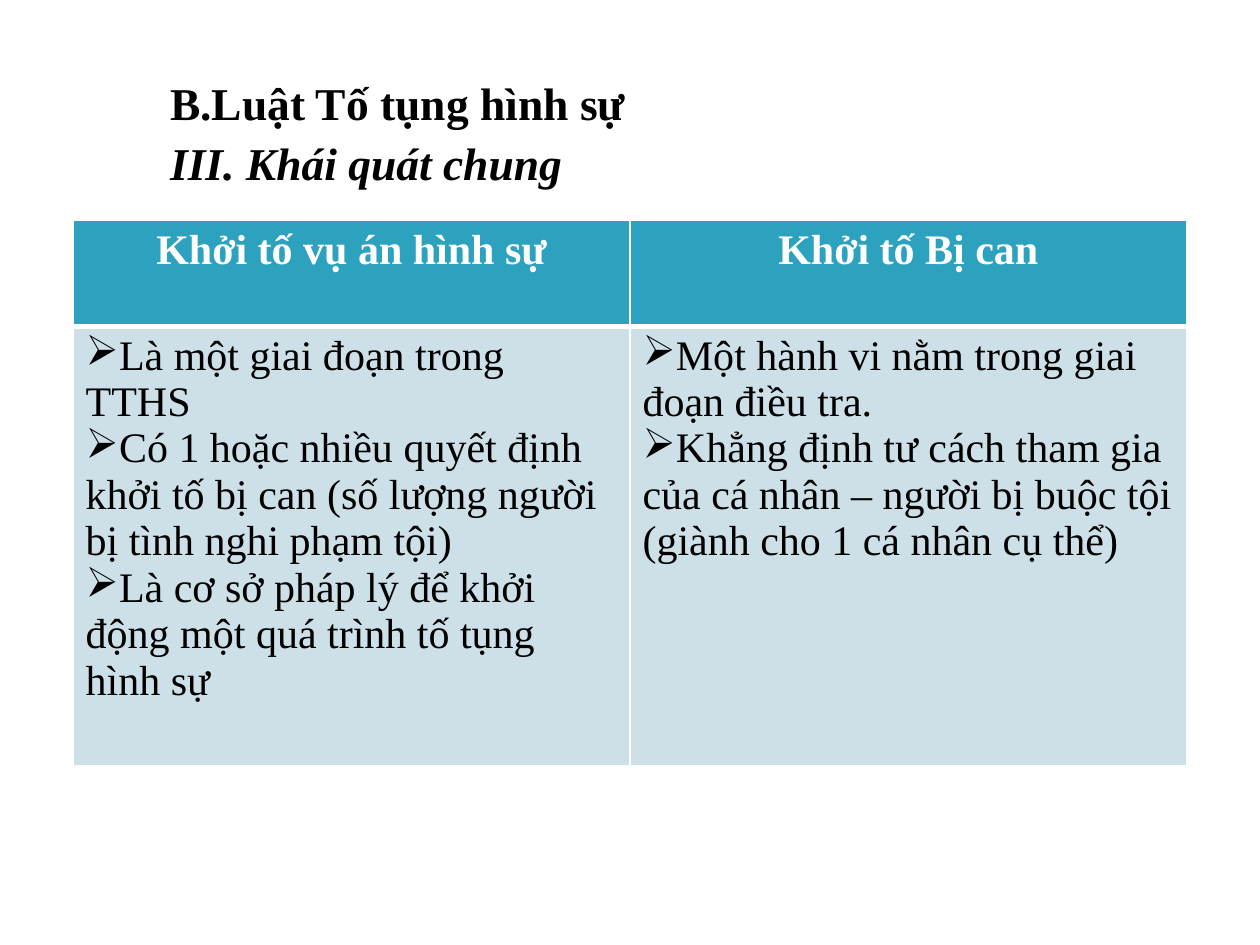
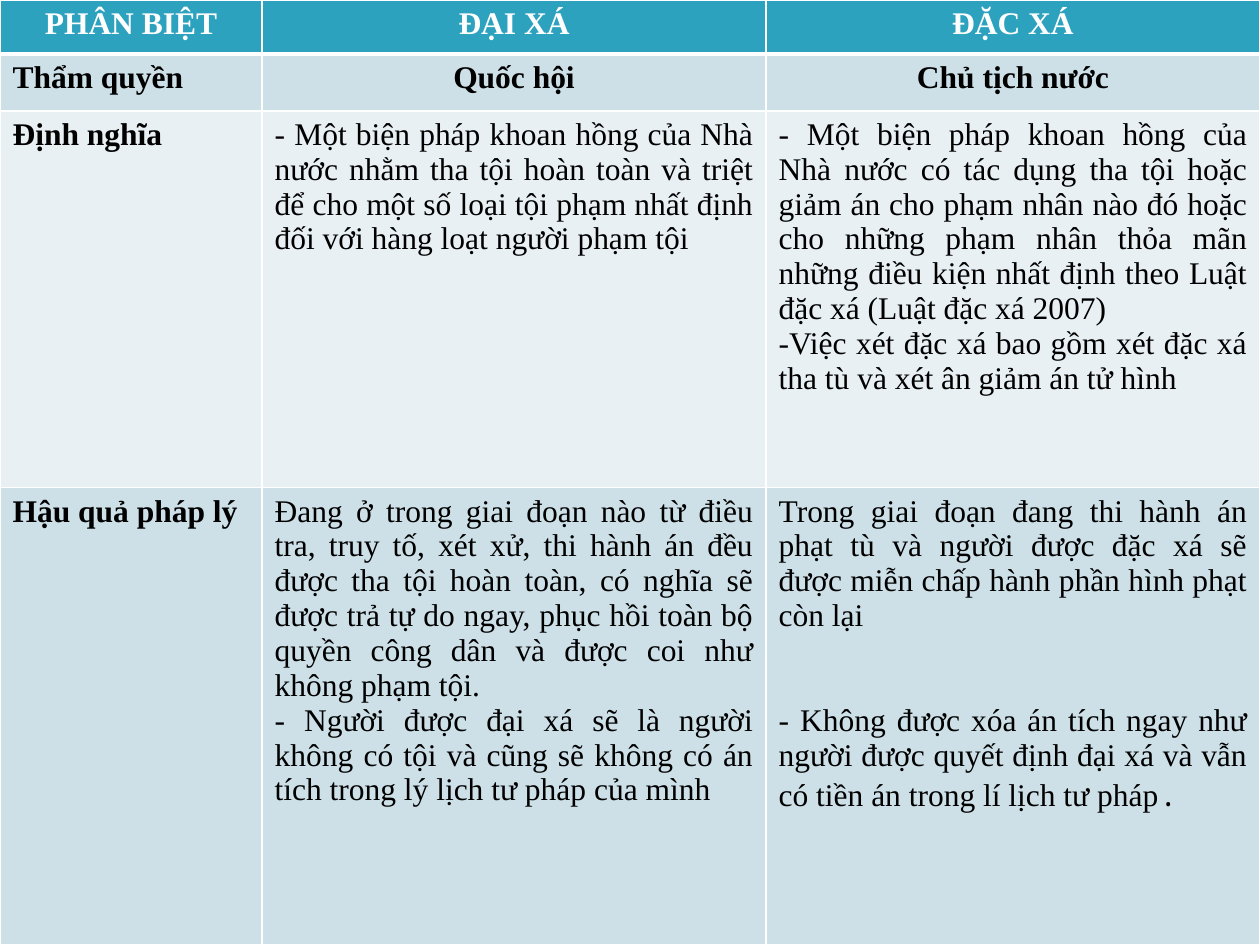
from lxml import etree
from pptx import Presentation
from pptx.dml.color import RGBColor
from pptx.enum.text import MSO_ANCHOR, MSO_AUTO_SIZE, PP_ALIGN as AL
from pptx.oxml.ns import qn
from pptx.util import Inches, Pt

FONT, DOT_FONT = "Times New Roman", "Noto Sans Mono"
WHITE, BLACK = "FFFFFF", "000000"
TEAL, BAND_DARK, BAND_LIGHT = "2DA2BF", "CDE0E8", "E8F0F4"
TITLE_ONLY, BLANK = 5, 6

# Cell styles: alignment, bold, text colour, bullet
HEADER = (AL.CENTER, True, WHITE, None)
LABEL = (AL.LEFT, True, BLACK, None)
CENTRED = (AL.CENTER, True, BLACK, None)
BODY = (AL.JUSTIFY, False, BLACK, None)
BULLETS = (AL.LEFT, False, BLACK, "➢")


def rgb(value):
    return RGBColor.from_string(value)


def add_run(p, text, size, color=BLACK, bold=False, italic=False, font=FONT):
    r = p.add_run()
    r.text = text
    f = r.font
    f.name, f.size, f.bold, f.italic = font, Pt(size), bold, italic
    f.color.rgb = rgb(color)
    return r


def next_paragraph(tf, i):
    return tf.paragraphs[0] if i == 0 else tf.add_paragraph()


def set_indent(p, left=0, bullet=None):
    pPr = p._p.get_or_add_pPr()
    pPr.set("marL", str(Inches(left)))
    pPr.set("indent", "0")
    if bullet:
        etree.SubElement(pPr, qn("a:buChar")).set("char", bullet)


def set_borders(cell, top, bottom):
    """White lines on all sides, widths in points."""
    tcPr = cell._tc.get_or_add_tcPr()
    for side, width in (("L", 1), ("R", 1), ("T", top), ("B", bottom)):
        ln = etree.SubElement(tcPr, qn(f"a:ln{side}"), w=str(Pt(width)))
        fill = etree.SubElement(ln, qn("a:solidFill"))
        etree.SubElement(fill, qn("a:srgbClr"), val=WHITE)


def fill_cell(cell, lines, style, size):
    align, bold, color, bullet = style
    tf = cell.text_frame
    for i, line in enumerate(lines):
        p = next_paragraph(tf, i)
        p.alignment = align
        if bullet:
            set_indent(p, bullet=bullet)
        add_run(p, line, size, color, bold)


def add_grid(s, box, cols, heights, rows, size):
    """Table with a teal header and alternating bands; each cell is (lines, style)."""
    shape = s.shapes.add_table(len(rows), len(cols), *map(Inches, box))
    tbl = shape.table
    for col, width in zip(tbl.columns, cols):
        col.width = Inches(width)
    for i, (row, height, cells) in enumerate(zip(tbl.rows, heights, rows)):
        row.height = Inches(height)
        fill = TEAL if i == 0 else (BAND_LIGHT, BAND_DARK)[i % 2]
        for cell, (lines, style) in zip(row.cells, cells):
            set_borders(cell, top=3 if i == 1 else 1, bottom=3 if i == 0 else 1)
            cell.fill.solid()
            cell.fill.fore_color.rgb = rgb(fill)
            fill_cell(cell, lines, style, size)
    return tbl


def add_heading(s, box, heading, subheading):
    title = s.shapes.title
    title.left, title.top, title.width, title.height = map(Inches, box)
    tf = title.text_frame
    tf.word_wrap = True
    tf.auto_size = MSO_AUTO_SIZE.NONE
    tf.vertical_anchor = MSO_ANCHOR.TOP
    for i, text in enumerate((heading, subheading)):
        p = next_paragraph(tf, i)
        p.alignment = AL.JUSTIFY
        p.line_spacing = 1.1
        set_indent(p, left=0.5)
        add_run(p, text, 26, bold=True, italic=i == 1)


def prosecution_slide(prs):
    s = prs.slides.add_slide(prs.slide_layouts[TITLE_ONLY])
    add_heading(s, (0.75, 0.5, 7.17, 1.38),
                "B.Luật Tố tụng hình sự", "III. Khái quát chung")
    case = ["Là một giai đoạn trong TTHS",
            "Có 1 hoặc nhiều quyết định khởi tố bị can (số lượng người bị tình nghi phạm tội)",
            "Là cơ sở pháp lý để khởi động một quá trình tố tụng hình sự"]
    accused = ["Một hành vi nằm trong giai đoạn điều tra.",
               "Khẳng định tư cách tham gia của cá nhân – người bị buộc tội "
               "(giành cho 1 cá nhân cụ thể)"]
    rows = [[(["Khởi tố vụ án hình sự"], HEADER), (["Khởi tố Bị can"], HEADER)],
            [(case, BULLETS), (accused, BULLETS)]]
    add_grid(s, (0.58, 1.75, 8.84, 4.33), [4.42] * 2, [0.84, 3.49], rows, 24)


def amnesty_slide(prs):
    s = prs.slides.add_slide(prs.slide_layouts[BLANK])
    headers = ["PHÂN BIỆT", "ĐẠI XÁ", "ĐẶC XÁ"]
    amnesty_meaning = [
        "- Một biện pháp khoan hồng của Nhà nước nhằm tha tội hoàn toàn và triệt để "
        "cho một số loại tội phạm nhất định đối với hàng loạt người phạm tội"]
    pardon_meaning = [
        "- Một biện pháp khoan hồng của Nhà nước có tác dụng tha tội hoặc giảm án "
        "cho phạm nhân nào đó hoặc cho những phạm nhân thỏa mãn những điều kiện "
        "nhất định theo Luật đặc xá (Luật đặc xá 2007)",
        "-Việc xét đặc xá bao gồm xét đặc xá tha tù và xét ân giảm án tử hình"]
    amnesty_effect = [
        "Đang ở trong giai đoạn nào từ điều tra, truy tố, xét xử, thi hành án đều "
        "được tha tội hoàn toàn, có nghĩa sẽ được trả tự do ngay, phục hồi toàn bộ "
        "quyền công dân và được coi như không phạm tội.",
        "- Người được đại xá sẽ là người không có tội và cũng sẽ không có án tích "
        "trong lý lịch tư pháp của mình"]
    pardon_effect = [
        "Trong giai đoạn đang thi hành án phạt tù và người được đặc xá sẽ được miễn "
        "chấp hành phần hình phạt còn lại",
        "- Không được xóa án tích ngay như người được quyết định đại xá và vẫn có "
        "tiền án trong lí lịch tư pháp"]
    rows = [[([text], HEADER) for text in headers],
            [(["Thẩm quyền"], LABEL), (["Quốc hội"], CENTRED),
             (["Chủ tịch nước"], CENTRED)],
            [(["Định nghĩa"], LABEL), (amnesty_meaning, BODY), (pardon_meaning, BODY)],
            [(["Hậu quả pháp lý"], LABEL), (amnesty_effect, BODY), (pardon_effect, BODY)]]
    tbl = add_grid(s, (0, 0, 10, 7.5), [2.08, 4, 3.92],
                   [0.43, 0.45, 2.99, 3.63], rows, 18)

    # Last point stands apart and closes with a monospaced full stop
    p = tbl.cell(3, 2).text_frame.paragraphs[-1]
    p.space_before = Pt(40)
    add_run(p, ".", 18, font=DOT_FONT)


def main():
    prs = Presentation()
    prs.slide_width, prs.slide_height = Inches(10), Inches(7.5)
    prosecution_slide(prs)
    amnesty_slide(prs)
    prs.save("out.pptx")


if __name__ == "__main__":
    main()
